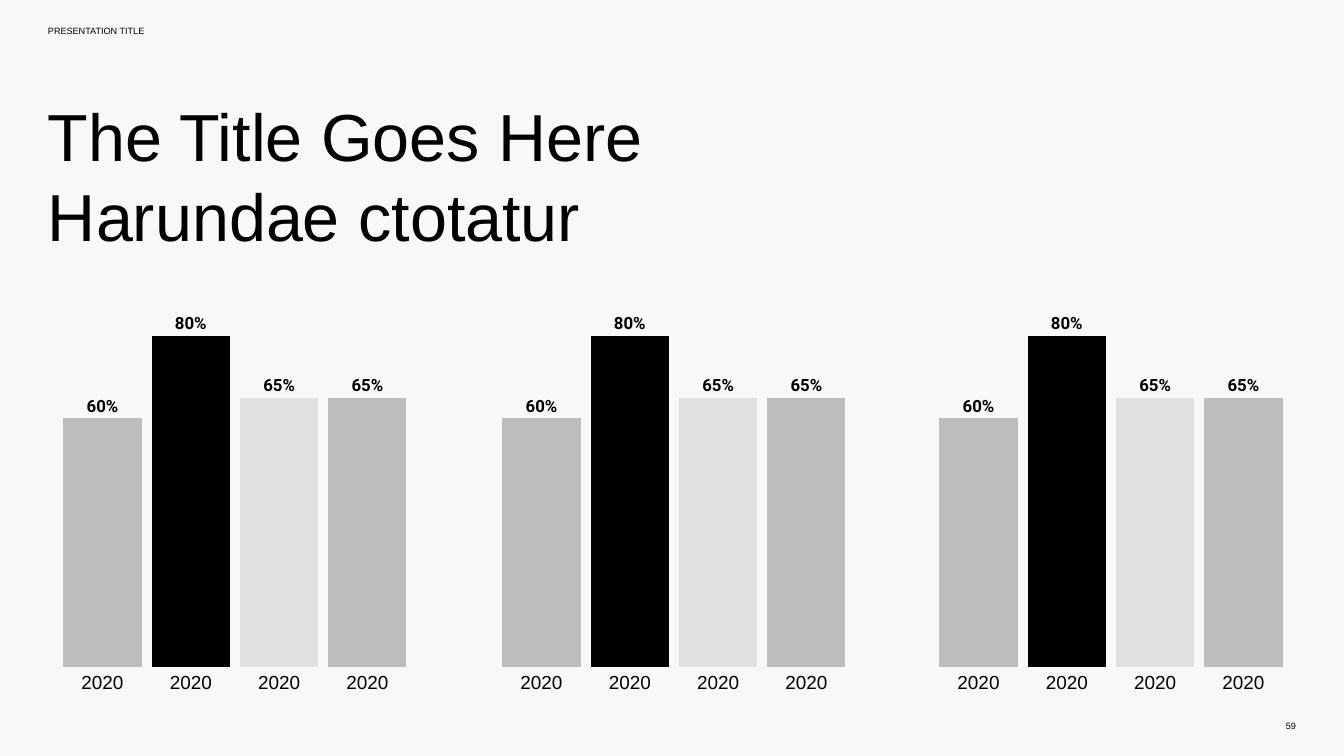
from lxml.etree import SubElement
from pptx import Presentation
from pptx.chart.data import CategoryChartData
from pptx.dml.color import RGBColor
from pptx.enum.chart import XL_CHART_TYPE, XL_LABEL_POSITION, XL_TICK_LABEL_POSITION, XL_TICK_MARK
from pptx.enum.text import MSO_ANCHOR, MSO_AUTO_SIZE, PP_ALIGN
from pptx.oxml.ns import qn
from pptx.util import Emu, Pt

PX = 914400 / 50.4
BACKGROUND = RGBColor(0xF8, 0xF8, 0xF8)
BLACK = RGBColor(0x00, 0x00, 0x00)
YELLOW = RGBColor(0xFF, 0xDA, 0x00)
MID_GREY = RGBColor(0xBD, 0xBD, 0xBD)
LIGHT_GREY = RGBColor(0xE0, 0xE0, 0xE0)

YEARS = ["2020"] * 4
SHARES = [0.6, 0.8, 0.65, 0.65]
BAR_COLORS = [MID_GREY, BLACK, LIGHT_GREY, MID_GREY]
CHART_LEFTS = [51, 490, 927]


def px(length):
    return Emu(round(length * PX))


def style_font(font, size, name="Arial", bold=False):
    font.name = name
    font.size = Pt(size)
    font.bold = bold
    font.color.rgb = BLACK


def fill_text(shape, lines, size, align=PP_ALIGN.LEFT, anchor=MSO_ANCHOR.TOP):
    frame = shape.text_frame
    frame.word_wrap = True
    frame.auto_size = MSO_AUTO_SIZE.NONE
    frame.vertical_anchor = anchor
    frame.margin_left = frame.margin_top = frame.margin_right = frame.margin_bottom = 0
    para = frame.paragraphs[0]
    para.alignment = align
    para.line_spacing = 1.0
    para.space_before = Pt(0)
    for index, line in enumerate(lines):
        if index:
            para.add_line_break()
        span = para.add_run()
        span.text = line
        style_font(span.font, size)


def add_label(page, box, text, **layout):
    fill_text(page.shapes.add_textbox(*map(px, box)), [text], 13, **layout)


def add_title(page, box, lines):
    title = page.shapes.title
    title.left, title.top, title.width, title.height = map(px, box)
    fill_text(title, lines, 95)


def set_plot_area(chart, x, y, w, h):
    """Fix the inner plot area, in fractions of the chart."""
    plot_area = chart.plots[0]._element.getparent()
    layout = plot_area.find(qn("c:layout"))
    if layout is None:
        layout = SubElement(plot_area, qn("c:layout"))
        plot_area.insert(0, layout)
    manual = SubElement(layout, qn("c:manualLayout"))
    settings = {"layoutTarget": "inner", "xMode": "edge", "yMode": "edge",
                "x": x, "y": y, "w": w, "h": h}
    for name, value in settings.items():
        SubElement(manual, qn(f"c:{name}")).set("val", str(value))


def add_share_chart(page, box):
    data = CategoryChartData(number_format="0%")
    data.categories = YEARS
    data.add_series("Series 1", SHARES)
    chart = page.shapes.add_chart(
        XL_CHART_TYPE.COLUMN_CLUSTERED, *map(px, box), data).chart
    chart.has_legend = False
    chart.has_title = False
    style_font(chart.font, 10)
    set_plot_area(chart, 0.02, 0.02, 0.96, 0.9)

    years = chart.category_axis
    years.major_tick_mark = years.minor_tick_mark = XL_TICK_MARK.NONE
    years.tick_label_position = XL_TICK_LABEL_POSITION.LOW
    years.format.line.fill.background()
    style_font(years.tick_labels.font, 27)

    shares = chart.value_axis
    shares.minimum_scale, shares.maximum_scale = 0, 0.9
    shares.has_major_gridlines = False
    shares.tick_labels.number_format = "0%"
    shares.tick_labels.number_format_is_linked = False
    shares.visible = False

    plot = chart.plots[0]
    plot.gap_width, plot.overlap = 13, -27
    plot.vary_by_categories = False
    series = plot.series[0]
    series.format.fill.solid()
    series.format.fill.fore_color.rgb = YELLOW
    for index, color in enumerate(BAR_COLORS):
        fill = series.points[index].format.fill
        fill.solid()
        fill.fore_color.rgb = color

    labels = series.data_labels
    labels.show_value = True
    labels.number_format = "0%"
    labels.number_format_is_linked = False
    labels.position = XL_LABEL_POSITION.OUTSIDE_END
    style_font(labels.font, 24, "Roboto", bold=True)


def main():
    deck = Presentation()
    deck.slide_width, deck.slide_height = px(1344), px(756)
    page = deck.slides.add_slide(deck.slide_layouts.get_by_name("Title Only"))
    page.background.fill.solid()
    page.background.fill.fore_color.rgb = BACKGROUND

    add_label(page, (48, 25, 454, 24), "PRESENTATION TITLE")
    add_title(page, (48, 95, 991, 151), ["The Title Goes Here ", "Harundae ctotatur"])
    for left in CHART_LEFTS:
        add_share_chart(page, (left, 286, 368, 414))
    add_label(page, (1239, 715, 57, 21), "59",
              align=PP_ALIGN.RIGHT, anchor=MSO_ANCHOR.MIDDLE)
    deck.save("out.pptx")


if __name__ == "__main__":
    main()
